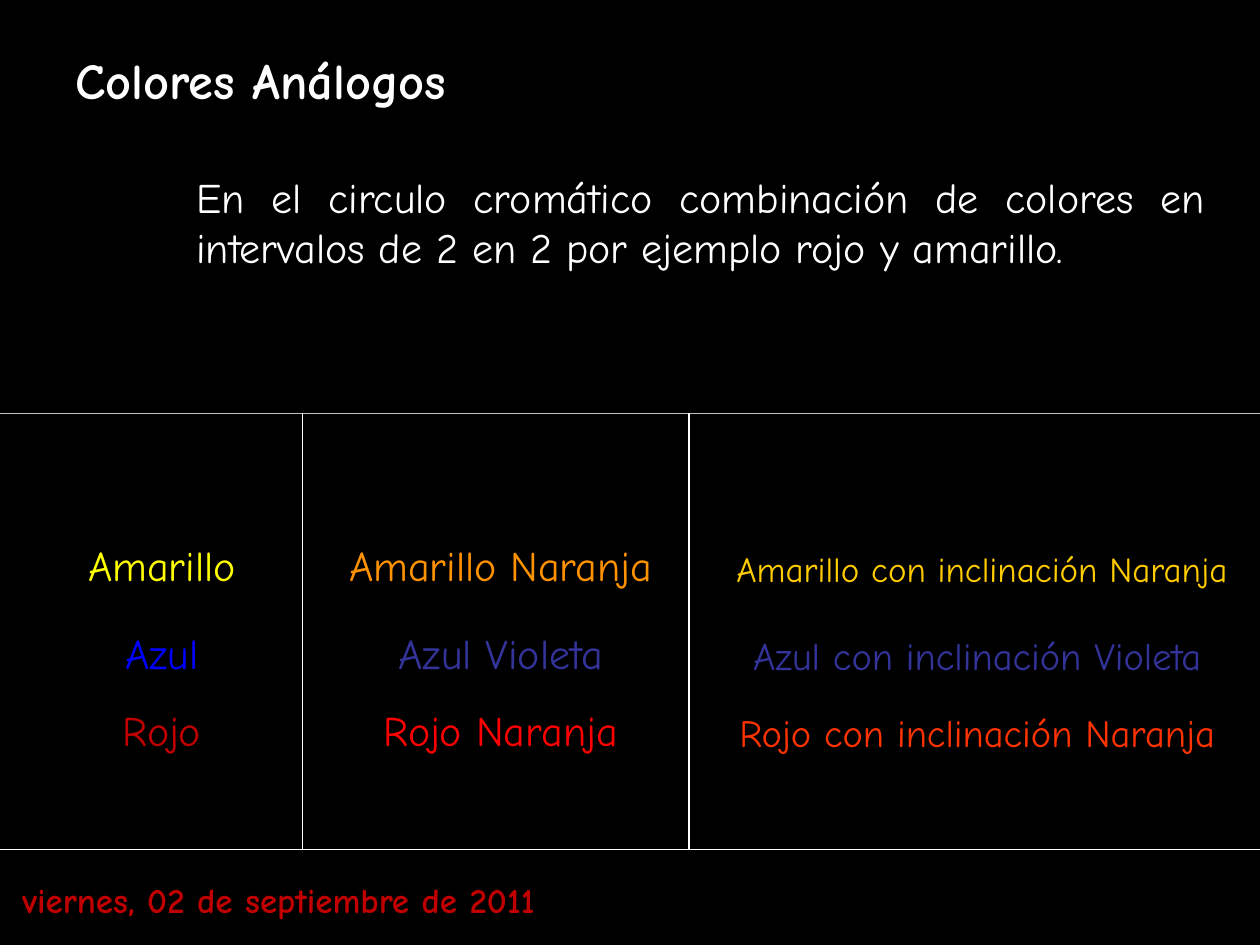
from dataclasses import dataclass

from lxml.etree import SubElement
from pptx import Presentation
from pptx.dml.color import RGBColor
from pptx.enum.shapes import MSO_CONNECTOR
from pptx.enum.text import MSO_ANCHOR, PP_ALIGN
from pptx.oxml.ns import qn
from pptx.slide import Slide
from pptx.util import Cm, Pt

FONT = "Comic Neue"
WHITE = "FFFFFF"
SLIDE_WIDTH, SLIDE_HEIGHT = 25.4, 19.05
GRID_TOP, GRID_BOTTOM = 8.33, 17.12
ROW_HEIGHT = 1.37


@dataclass(frozen=True)
class Label:
    text: str
    left: float
    top: float
    width: float
    height: float
    size: float
    color: str
    bold: bool = False
    align: PP_ALIGN = PP_ALIGN.LEFT
    anchor: MSO_ANCHOR = MSO_ANCHOR.TOP


@dataclass(frozen=True)
class Rule:
    x1: float
    y1: float
    x2: float
    y2: float
    color: str = WHITE
    weight: float = 0.75


@dataclass(frozen=True)
class Column:
    left: float
    width: float


@dataclass(frozen=True)
class Tone:
    text: str
    color: str
    column: Column
    size: float = 24


def rgb(value: str) -> RGBColor:
    return RGBColor.from_string(value)


def draw_label(slide: Slide, label: Label) -> None:
    box = slide.shapes.add_textbox(
        Cm(label.left), Cm(label.top), Cm(label.width), Cm(label.height)
    )
    frame = box.text_frame
    frame.word_wrap = True
    frame.vertical_anchor = label.anchor
    paragraph = frame.paragraphs[0]
    paragraph.text = label.text
    paragraph.alignment = label.align
    paragraph.font.name = FONT
    paragraph.font.size = Pt(label.size)
    paragraph.font.bold = label.bold
    paragraph.font.color.rgb = rgb(label.color)


def draw_rule(slide: Slide, rule: Rule) -> None:
    connector = slide.shapes.add_connector(
        MSO_CONNECTOR.STRAIGHT, Cm(rule.x1), Cm(rule.y1), Cm(rule.x2), Cm(rule.y2)
    )
    connector.line.color.rgb = rgb(rule.color)
    connector.line.width = Pt(rule.weight)
    SubElement(connector._element.spPr, qn("a:effectLst"))


PRIMARY = Column(-1.09, 8.71)
INTERMEDIATE = Column(5.89, 8.41)
INCLINED = Column(14.3, 10.8)
INCLINED_YELLOW = Column(14.5, 10.6)

HEADINGS = [
    Label("Colores Análogos", 1.27, 0.76, 11.02, 1.57, 28.8, WHITE,
          bold=True, anchor=MSO_ANCHOR.BOTTOM),
    Label("En el circulo cromático combinación de colores en intervalos "
          "de 2 en 2 por ejemplo rojo y amarillo.",
          3.71, 3.33, 20.83, 2.54, 24, WHITE, align=PP_ALIGN.JUSTIFY),
    Label("viernes, 02 de septiembre de 2011", 0.2, 17.73, 13.31, 0.79, 20,
          "C00000", bold=True, anchor=MSO_ANCHOR.MIDDLE),
]

RULES = [
    Rule(0, GRID_BOTTOM, SLIDE_WIDTH, GRID_BOTTOM, weight=0.25),
    Rule(0, GRID_TOP, SLIDE_WIDTH, GRID_TOP, "BFBFBF"),
    *(Rule(x, GRID_TOP, x, GRID_BOTTOM) for x in (6.1, 13.89)),
]

TONES_BY_TOP = {
    10.64: [
        Tone("Amarillo", "FFFF00", PRIMARY),
        Tone("Amarillo Naranja", "FF9201", INTERMEDIATE),
        Tone("Amarillo con inclinación Naranja", "FFCC00", INCLINED_YELLOW, 20),
    ],
    12.42: [
        Tone("Azul", "0000FF", PRIMARY),
        Tone("Azul Violeta", "333399", INTERMEDIATE),
        Tone("Azul con inclinación Violeta", "333399", INCLINED, 22),
    ],
    13.97: [
        Tone("Rojo", "C00000", PRIMARY),
        Tone("Rojo Naranja", "FF0000", INTERMEDIATE),
        Tone("Rojo con inclinación Naranja", "FF3300", INCLINED, 22),
    ],
}


def main() -> None:
    presentation = Presentation()
    presentation.slide_width = Cm(SLIDE_WIDTH)
    presentation.slide_height = Cm(SLIDE_HEIGHT)
    slide = presentation.slides.add_slide(presentation.slide_layouts[6])
    slide.background.fill.solid()
    slide.background.fill.fore_color.rgb = rgb("000000")

    for heading in HEADINGS:
        draw_label(slide, heading)
    for rule in RULES:
        draw_rule(slide, rule)
    for top, tones in TONES_BY_TOP.items():
        for tone in tones:
            draw_label(slide, Label(
                tone.text, tone.column.left, top, tone.column.width, ROW_HEIGHT,
                tone.size, tone.color,
                align=PP_ALIGN.CENTER, anchor=MSO_ANCHOR.BOTTOM,
            ))

    presentation.save("out.pptx")


if __name__ == "__main__":
    main()
